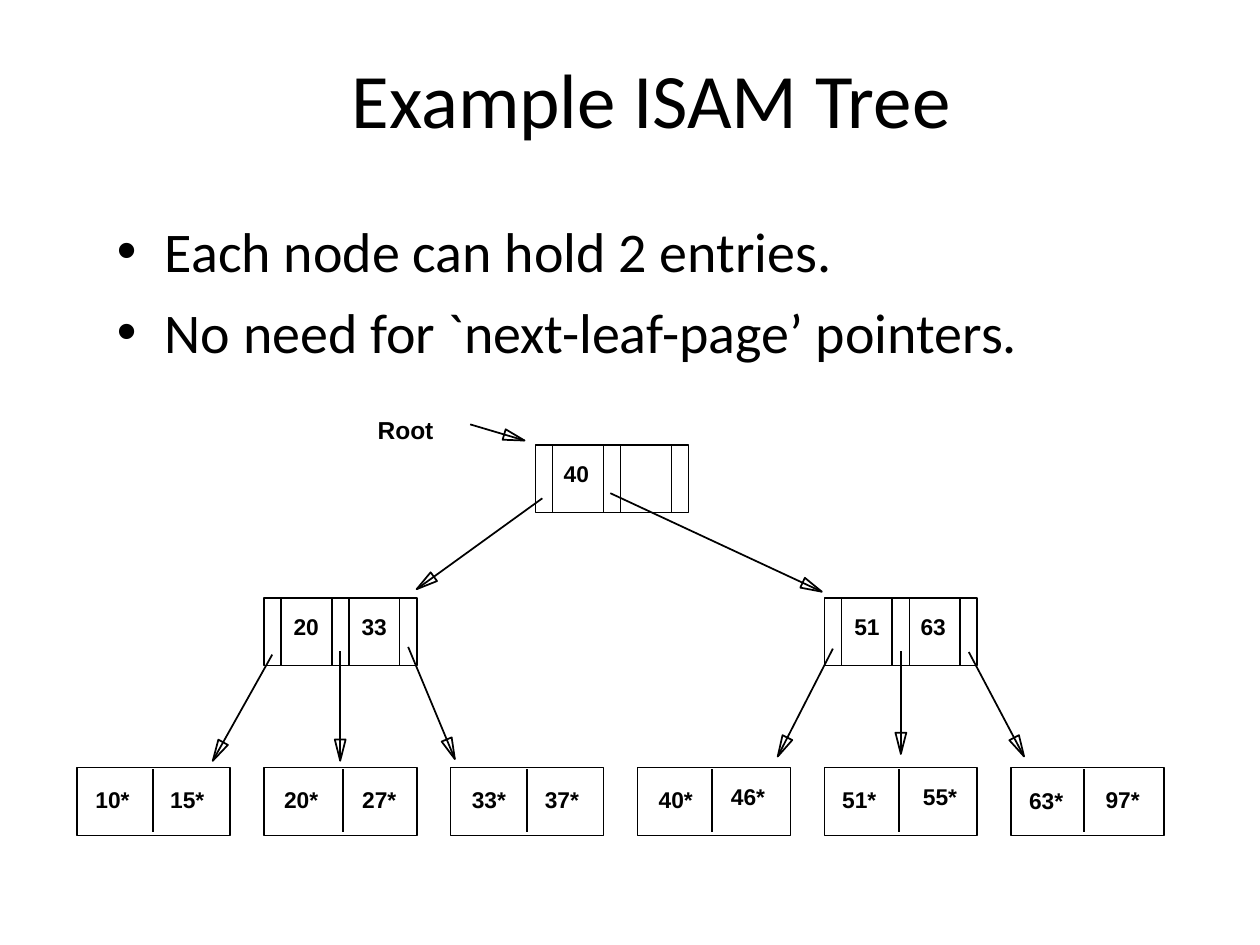
from lxml.etree import SubElement
from pptx import Presentation
from pptx.dml.color import RGBColor
from pptx.enum.shapes import MSO_CONNECTOR as LINK, MSO_SHAPE as SHAPE
from pptx.enum.text import MSO_ANCHOR as ANCHOR, PP_ALIGN as ALIGN
from pptx.oxml.ns import qn
from pptx.util import Inches, Pt
from math import hypot

INK = "000000"
WIDE, HIGH = 10, 7.5

# The tree stands on a grid of square units, 64 columns wide
LEFT, TOP = 0.61, 3.53
UNIT = 8.63 / 64
NODE_W, NODE_H = 9, 4
MID_ROW, LEAF_ROW, LEAF_STEP = 9, 19, 11

# Index nodes: column, row, keys as (text, centre)
NODES = [
    (27, 0, [("40", 2.4)]),
    (11, MID_ROW, [("20", 2.5), ("33", 6.5)]),
    (44, MID_ROW, [("51", 2.5), ("63", 6.4)]),
]
# Leaves: divider, then entries as (text, centre column, centre row)
LEAVES = [
    (4.5, ("10*", 2.1, 1.85), ("15*", 6.5, 1.85)),
    (4.65, ("20*", 2.2, 1.85), ("27*", 6.8, 1.85)),
    (4.5, ("33*", 2.25, 1.85), ("37*", 6.55, 1.85)),
    (4.4, ("40*", 2.25, 1.85), ("46*", 6.5, 1.7)),
    (4.4, ("51*", 2.05, 1.85), ("55*", 6.8, 1.7)),
    (4.3, ("63*", 2.05, 1.95), ("97*", 6.55, 1.85)),
]
# Pointers: from column and row, to column and row
ARROWS = [
    (23.15, -1.2, 26.35, -0.25),
    (27.4, 3.15, 20, 8.5), (31.4, 2.85, 43.85, 8.65),
    (11.5, 12.35, 8, 18.6), (15.5, 12.15, 15.5, 18.6),
    (19.5, 11.9, 22.25, 18.5),
    (44.5, 12, 41.25, 18.35), (48.5, 12.15, 48.5, 18.2),
    (52.5, 12.2, 55.75, 18.35),
]

deck = Presentation()
deck.slide_width, deck.slide_height = Inches(WIDE), Inches(HIGH)
slide = deck.slides.add_slide(deck.slide_layouts[6])
shapes = slide.shapes


def ink(code):
    return RGBColor.from_string(code)


def px(col):
    return Inches(LEFT + col * UNIT)


def py(row):
    return Inches(TOP + row * UNIT)


def text(box, lines, size, font="Calibri", bold=False, align=ALIGN.LEFT,
         anchor=ANCHOR.TOP, wrap=True, gap=0, bullet=False):
    frame = shapes.add_textbox(*box).text_frame
    frame.word_wrap, frame.vertical_anchor = wrap, anchor
    for i, line in enumerate(lines):
        para = frame.paragraphs[0] if i == 0 else frame.add_paragraph()
        if bullet:
            props = para._p.get_or_add_pPr()
            props.set("marL", str(Inches(0.38)))
            props.set("indent", str(-Inches(0.38)))
            SubElement(props, qn("a:buFont")).set("typeface", "Arial")
            SubElement(props, qn("a:buChar")).set("char", "•")
        para.alignment = align
        para.space_before = Pt(gap if i else 0)
        run = para.add_run()
        run.text = line
        run.font.name, run.font.size, run.font.bold = font, Pt(size), bold
        run.font.color.rgb = ink(INK)


def label(word, col, row, size=13, wide=0.47):
    """Bold word centred on a grid point."""
    w, h = Inches(wide), Inches(0.31)
    box = (px(col) - w // 2, py(row) - h // 2, w, h)
    text(box, [word], size, font="Arial", bold=True, align=ALIGN.CENTER,
         anchor=ANCHOR.MIDDLE, wrap=False)


def edge(shape):
    shape.line.color.rgb, shape.line.width = ink(INK), Pt(1)


def hollow(shape):
    shape.shadow.inherit = False
    shape.fill.background()
    edge(shape)


def line(x1, y1, x2, y2):
    link = shapes.add_connector(LINK.STRAIGHT, px(x1), py(y1), px(x2), py(y2))
    edge(link)
    SubElement(link._element.spPr, qn("a:effectLst"))


def arrow(x1, y1, x2, y2):
    """Line with a slim open head whose tip is at the end."""
    line(x1, y1, x2, y2)
    span = hypot(x2 - x1, y2 - y1)
    dx, dy = (x2 - x1) / span, (y2 - y1) / span
    long, half = 1.25, 0.32
    bx, by = x2 - dx * long, y2 - dy * long
    pen = shapes.build_freeform(px(bx - dy * half), py(by + dx * half))
    pen.add_line_segments([(px(x2), py(y2)),
                           (px(bx + dy * half), py(by - dx * half))])
    hollow(pen.convert_to_shape())


def frame(col, row):
    size = Inches(NODE_W * UNIT), Inches(NODE_H * UNIT)
    hollow(shapes.add_shape(SHAPE.RECTANGLE, px(col), py(row), *size))


def node(col, row, keys):
    frame(col, row)
    for cut in (1, 4, 5, 8):
        line(col + cut, row, col + cut, row + NODE_H)
    for word, mid in keys:
        label(word, col + mid, row + 1.7, wide=0.4)


def leaf(col, row, cut, *items):
    frame(col, row)
    line(col + cut, row + 0.1, col + cut, row + 3.8)
    for word, x, y in items:
        label(word, col + x, row + y)


def tree():
    for spot in NODES:
        node(*spot)
    for i, data in enumerate(LEAVES):
        leaf(i * LEAF_STEP, LEAF_ROW, *data)
    for ends in ARROWS:
        arrow(*ends)
    label("Root", 19.35, -0.9, size=14, wide=0.7)


def head(x, y, w, h):
    text((Inches(x), Inches(y), Inches(w), Inches(h)), ["Example ISAM Tree"],
         44, align=ALIGN.CENTER, anchor=ANCHOR.MIDDLE)


def body(x, y, w, h):
    text((Inches(x), Inches(y), Inches(w), Inches(h)),
         ["Each node can hold 2 entries.",
          "No need for `next-leaf-page’ pointers."],
         32, gap=8, bullet=True)


head(0.92, 0.17, 0.85 * WIDE, 1.21)
body(0.83, 1.67, 0.85 * WIDE, 4.46)
tree()
deck.save("out.pptx")
